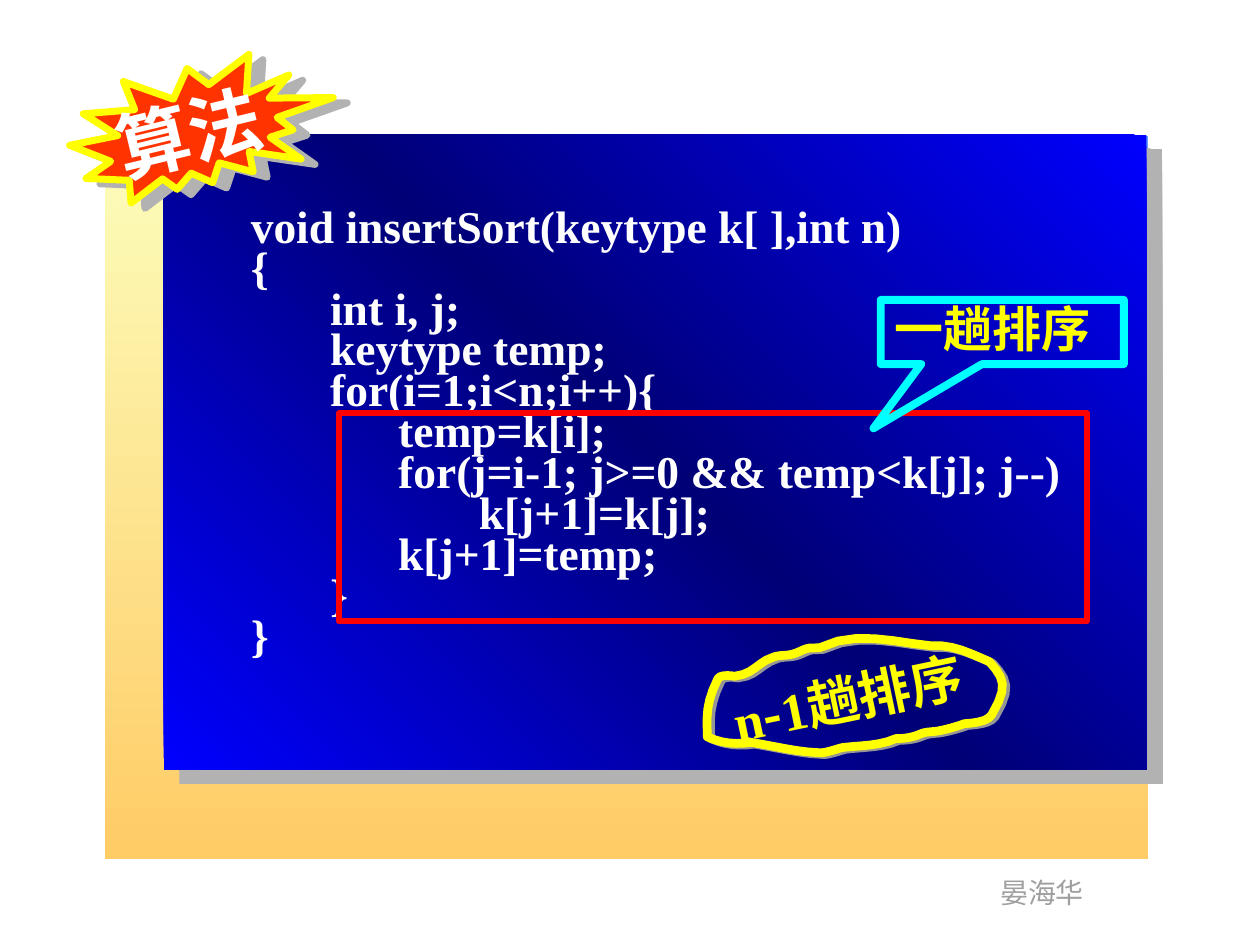
from dataclasses import dataclass
from lxml.etree import SubElement
from pptx import Presentation
from pptx.dml.color import RGBColor
from pptx.enum.shapes import MSO_SHAPE
from pptx.enum.text import MSO_ANCHOR, MSO_AUTO_SIZE, PP_ALIGN
from pptx.oxml.ns import qn
from pptx.util import Inches, Pt

COLORS = {
    "cream": "FCFEBC", "sand": "FFCC66", "steel": "496DB6", "sky": "6699FF",
    "blue": "0000FF", "navy": "000076", "white": "FFFFFF", "yellow": "FFFF00",
    "orange": "FF3300", "red": "FF0000", "cyan": "00FFFF", "grey": "9F9F9F",
    "shade": "B2B2B2", "ring_shade": "969696", "black": "000000",
}
SERIF, NARROW, CJK = "Times New Roman", "Arial Narrow", "Noto Sans CJK SC"

CODE = [  # (indent in inches, statement)
    (0, "void insertSort(keytype k[ ],int n)"),
    (0, "{"),
    (0.63, "int i, j;"),
    (0.63, "keytype temp;"),
    (0.63, "for(i=1;i<n;i++){"),
    (1.17, "temp=k[i];"),
    (1.17, "for(j=i-1; j>=0 && temp<k[j]; j--)"),
    (1.81, "k[j+1]=k[j];"),
    (1.17, "k[j+1]=temp;"),
    (0.63, "}"),
    (0, "}"),
]

RING_START = (5.82, 5.46)
RING_CURVES = [  # two control points and an end point each
    (5.97, 5.43, 5.99, 5.33, 6.11, 5.28), (6.15, 5.26, 6.19, 5.26, 6.23, 5.25),
    (6.29, 5.24, 6.34, 5.19, 6.39, 5.18), (6.42, 5.18, 6.45, 5.17, 6.47, 5.17),
    (6.74, 5, 7.05, 5.07, 7.35, 5.07), (7.52, 5.04, 7.66, 5.1, 7.82, 5.15),
    (7.95, 5.27, 7.99, 5.33, 7.88, 5.57), (7.85, 5.63, 7.73, 5.65, 7.67, 5.66),
    (7.61, 5.69, 7.53, 5.72, 7.46, 5.74), (7.42, 5.75, 7.38, 5.75, 7.34, 5.77),
    (7.27, 5.81, 7.22, 5.82, 7.14, 5.83), (7.02, 5.9, 6.87, 5.91, 6.73, 5.94),
    (6.69, 5.95, 6.58, 6.01, 6.53, 6), (6.36, 6.01, 6.18, 5.98, 6, 5.97),
    (5.88, 6, 5.77, 6, 5.65, 5.96), (5.63, 5.79, 5.61, 5.7, 5.69, 5.49),
    (5.71, 5.45, 5.82, 5.46, 5.82, 5.46),
]


@dataclass
class Figure:
    box: tuple
    preset: MSO_SHAPE = MSO_SHAPE.RECTANGLE
    fill: str | None = None
    gradient: tuple = ()
    angle: int = 0
    line: tuple | None = None  # colour, points
    shadow: tuple | None = None  # colour, distance in points, degrees
    rotation: float = 0
    adjustments: tuple = ()


@dataclass
class Label:
    box: tuple
    runs: list  # (text, font)
    size: int
    color: str
    bold: bool = True
    rotation: float = 0
    wrap: bool = True


def rgb(name: str) -> RGBColor:
    return RGBColor.from_string(COLORS[name])


def place(shape, box: tuple, rotation: float = 0) -> None:
    shape.left, shape.top, shape.width, shape.height = map(Inches, box)
    shape.rotation = rotation


def add_shadow(effects, color: str, distance: float, degrees: float) -> None:
    shadow = SubElement(effects, qn("a:outerShdw"), blurRad="0", dist=str(Pt(distance)),
                        dir=str(int(degrees * 60000)), algn="ctr", rotWithShape="0")
    SubElement(shadow, qn("a:srgbClr"), val=COLORS[color])


def fill_gradient(shape, names: tuple, angle: int) -> None:
    """Spread any number of colours evenly along a clockwise angle."""
    shape.fill.gradient()
    gradient = shape._element.spPr.find(qn("a:gradFill"))
    for child in list(gradient):
        gradient.remove(child)
    stops = SubElement(gradient, qn("a:gsLst"))
    for index, name in enumerate(names):
        stop = SubElement(stops, qn("a:gs"), pos=str(100000 * index // (len(names) - 1)))
        SubElement(stop, qn("a:srgbClr"), val=COLORS[name])
    SubElement(gradient, qn("a:lin"), ang=str(angle * 60000), scaled="0")


def style_outline(shape, line: tuple | None, shadow: tuple | None) -> None:
    if line:
        shape.line.color.rgb = rgb(line[0])
        shape.line.width = Pt(line[1])
    else:
        shape.line.fill.background()
    shape.shadow.inherit = False
    if shadow:
        add_shadow(shape._element.spPr.find(qn("a:effectLst")), *shadow)


def draw_figure(slide, figure: Figure) -> None:
    shape = slide.shapes.add_shape(figure.preset, *map(Inches, figure.box))
    shape.rotation = figure.rotation
    for index, value in enumerate(figure.adjustments):
        shape.adjustments[index] = value
    if figure.gradient:
        fill_gradient(shape, figure.gradient, figure.angle)
    elif figure.fill:
        shape.fill.solid()
        shape.fill.fore_color.rgb = rgb(figure.fill)
    else:
        shape.fill.background()
    style_outline(shape, figure.line, figure.shadow)


def style_run(run, font: str, size: int, color: str, bold: bool, shadowed: bool) -> None:
    run.font.size, run.font.bold, run.font.name = Pt(size), bold, font
    run.font.color.rgb = rgb(color)
    properties = run.font._element
    properties.find(qn("a:latin")).addnext(
        SubElement(properties, qn("a:ea"), typeface=CJK))
    if shadowed:
        effects = SubElement(properties, qn("a:effectLst"))
        add_shadow(effects, "black", 2, 45)
        properties.find(qn("a:solidFill")).addnext(effects)


def write_label(shape, label: Label) -> None:
    place(shape, label.box, label.rotation)
    frame = shape.text_frame
    frame.word_wrap = label.wrap
    frame.auto_size = MSO_AUTO_SIZE.NONE
    frame.vertical_anchor = MSO_ANCHOR.TOP
    frame.paragraphs[0].alignment = PP_ALIGN.LEFT
    for text, font in label.runs:
        run = frame.paragraphs[0].add_run()
        run.text = text
        style_run(run, font, label.size, label.color, label.bold, label.bold)


def add_label(slide, label: Label) -> None:
    write_label(slide.shapes.add_textbox(*map(Inches, label.box)), label)


def write_code(body) -> None:
    place(body, (1.89, 1.62, 6.67, 3.71))
    frame = body.text_frame
    frame.auto_size = MSO_AUTO_SIZE.NONE
    frame.text = "\n".join(statement for _, statement in CODE)
    for paragraph, (indent, _) in zip(frame.paragraphs, CODE):
        paragraph.line_spacing = 0.75
        paragraph.space_before = Pt(0)
        properties = paragraph._p.get_or_add_pPr()
        properties.set("marL", str(Inches(indent)))
        properties.set("indent", "0")
        SubElement(properties, qn("a:buNone"))
        style_run(paragraph.runs[0], SERIF, 26, "white", True, False)


def ring_points(steps: int = 6) -> list:
    """Sample the cubic curves of the hand-drawn ring."""
    points, (x0, y0) = [], RING_START
    for x1, y1, x2, y2, x3, y3 in RING_CURVES:
        for t in (step / steps for step in range(1, steps + 1)):
            a, b, c, d = (1 - t) ** 3, 3 * t * (1 - t) ** 2, 3 * t * t * (1 - t), t ** 3
            points.append((Inches(a * x0 + b * x1 + c * x2 + d * x3),
                           Inches(a * y0 + b * y1 + c * y2 + d * y3)))
        x0, y0 = x3, y3
    return points


def draw_ring(slide) -> None:
    builder = slide.shapes.build_freeform(*map(Inches, RING_START))
    builder.add_line_segments(ring_points(), close=True)
    ring = builder.convert_to_shape()
    ring.rotation = 5.5
    ring.fill.background()
    style_outline(ring, ("yellow", 5), ("ring_shade", 2.2, 27))


def main() -> None:
    deck = Presentation()
    deck.slide_width, deck.slide_height = Inches(10), Inches(7.5)
    slide = deck.slides.add_slide(deck.slide_layouts[1])
    title, body = slide.shapes.title, slide.placeholders[1]
    tree = slide.shapes._spTree

    draw_figure(slide, Figure((0.83, 1.1, 8.28, 5.72), gradient=("cream", "sand"), angle=90))
    draw_figure(slide, Figure((0.84, 1.08, 8.27, 0.15), gradient=("steel", "sky")))
    add_label(slide, Label((7.84, 6.9, 0.87, 0.37), [("晏海华", NARROW)], 16, "grey",
                           bold=False, wrap=False))
    draw_figure(slide, Figure((1.3, 1.07, 7.8, 5.04), gradient=("blue", "navy", "blue"),
                              angle=315, shadow=("shade", 12, 42)))
    write_code(body)
    tree.append(body._element)  # bring the code in front of its panel

    draw_figure(slide, Figure((0.55, 0.44, 2.1, 1.16), MSO_SHAPE.EXPLOSION2, "orange",
                              line=("yellow", 4), shadow=("shade", 8.5, 21), rotation=358.8))
    write_label(title, Label((0.81, 0.58, 1.92, 0.8), [("算法", SERIF)], 42, "white",
                             rotation=346.4))
    tree.append(title._element)  # bring the title in front of its burst

    draw_figure(slide, Figure((2.69, 3.28, 5.94, 1.65), line=("red", 3.5)))
    draw_figure(slide, Figure((6.99, 2.38, 1.93, 0.51), MSO_SHAPE.RECTANGULAR_CALLOUT,
                              line=("cyan", 4.5), adjustments=(-0.53, 1.5)))
    add_label(slide, Label((7, 2.32, 2.04, 0.57), [("一趟排序", SERIF)], 28, "yellow"))
    passes = [("n", SERIF), ("-", CJK), ("1", SERIF), ("趟排序", NARROW)]
    add_label(slide, Label((5.7, 5.19, 2.52, 0.6), passes, 30, "yellow", rotation=348.1))
    draw_ring(slide)
    deck.save("out.pptx")


if __name__ == "__main__":
    main()
